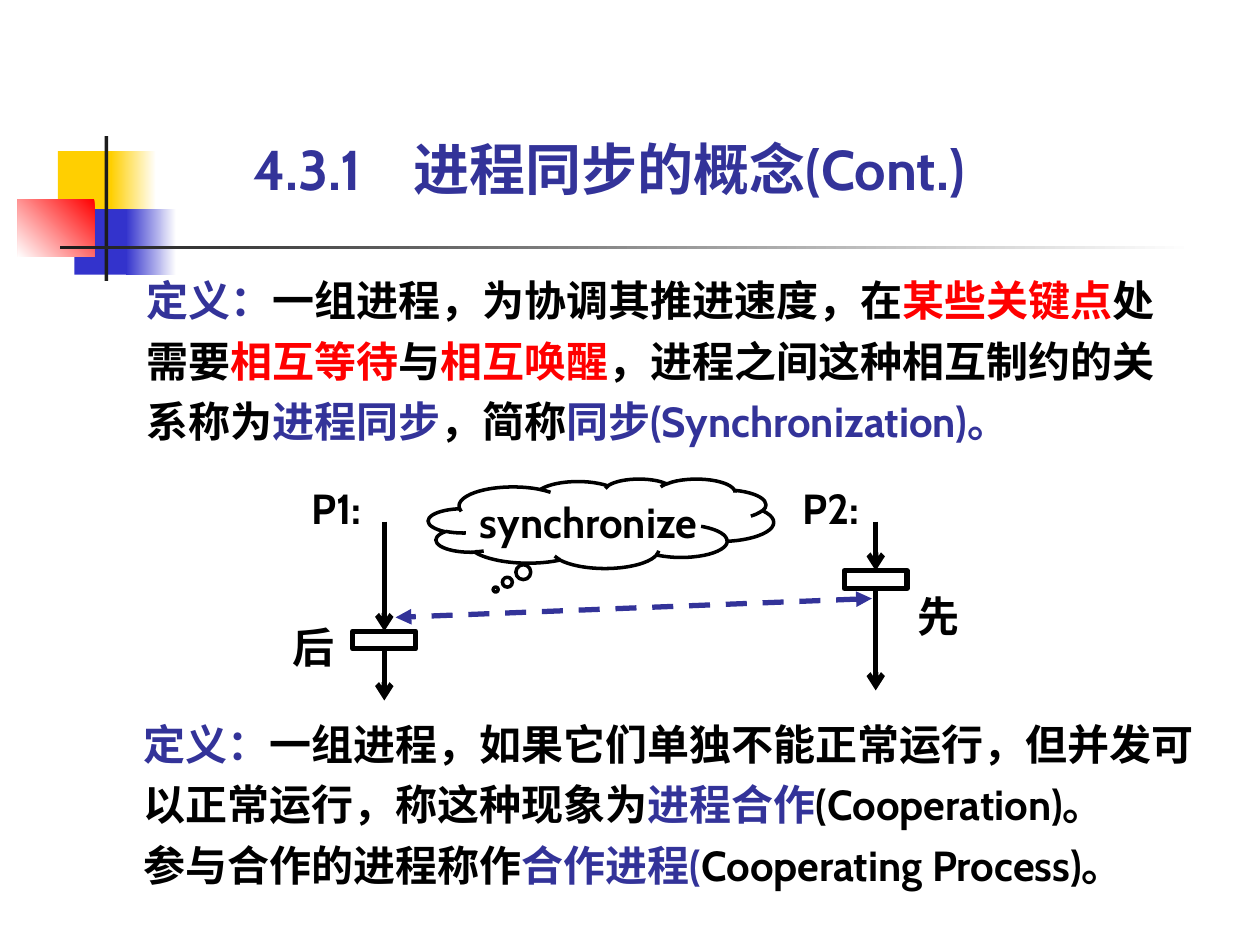
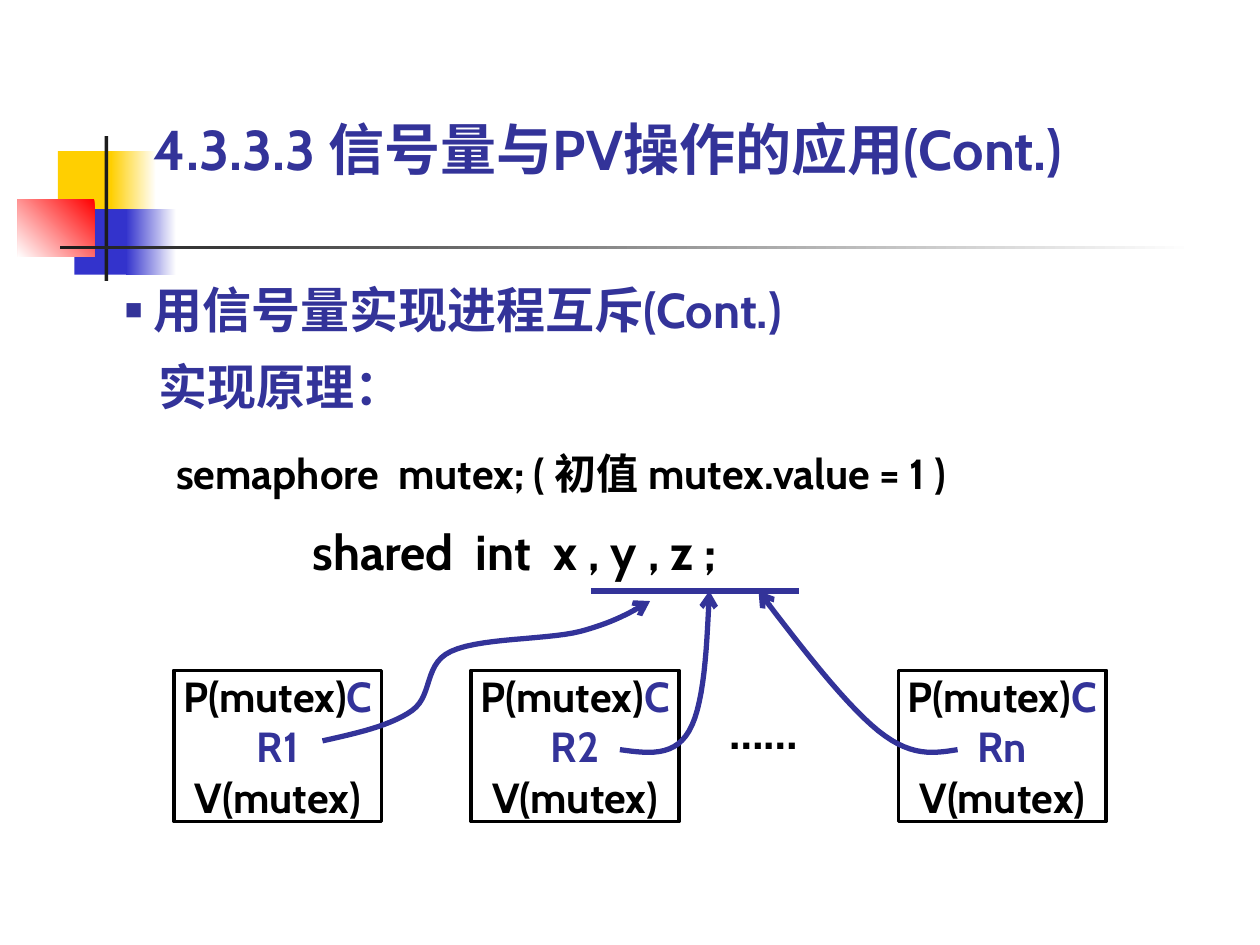
import collections

import lxml.etree
import pptx
import pptx.dml.color
import pptx.enum.dml
import pptx.enum.shapes
import pptx.enum.text
import pptx.oxml.ns
import pptx.util

Inches = pptx.util.Inches
Pt = pptx.util.Pt
SHAPES = pptx.enum.shapes.MSO_SHAPE
ANCHOR = pptx.enum.text.MSO_ANCHOR
ALIGN = pptx.enum.text.PP_ALIGN
Box = collections.namedtuple("Box", "left top width height")

# Shared look
FONT = "Cabin"
INDIGO, RED, BLACK, WHITE = "333399", "FF0000", "000000", "FFFFFF"
GOLD, BLUE, CHARCOAL = "FFCF01", "3333CC", "1C1C1C"
CURVE_STEPS = 14


def color(hex_string):
    return pptx.dml.color.RGBColor.from_string(hex_string)


def set_values(target, values):
    for name, value in values.items():
        setattr(target, name, value)


def add_xml(parent, tag, **attributes):
    return lxml.etree.SubElement(parent, pptx.oxml.ns.qn(tag), attributes)


def place(shape, box):
    set_values(shape, {name: Inches(value) for name, value in box._asdict().items()})


# Text
def write_text(frame, paragraphs, size=24, font=FONT, margins=(0, 0), frame_values=None, **paragraph_values):
    """Each paragraph is a list of (text, colour) runs."""
    set_values(frame, {
        "word_wrap": True,
        "auto_size": pptx.enum.text.MSO_AUTO_SIZE.SHAPE_TO_FIT_TEXT,
        "vertical_anchor": ANCHOR.TOP,
        "margin_left": Inches(margins[0]),
        "margin_right": Inches(margins[0]),
        "margin_top": Inches(margins[1]),
        "margin_bottom": Inches(margins[1]),
        **(frame_values or {}),
    })
    for index, runs in enumerate(paragraphs):
        paragraph = frame.add_paragraph() if index else frame.paragraphs[0]
        set_values(paragraph, {"alignment": ALIGN.LEFT, **paragraph_values})
        for text, hex_string in runs:
            run = paragraph.add_run()
            run.text = text
            set_values(run.font, {"size": Pt(size), "name": font, "bold": True})
            run.font.color.rgb = color(hex_string)


def add_text(slide, box, paragraphs, **formats):
    shape = slide.shapes.add_textbox(*map(Inches, box))
    write_text(shape.text_frame, paragraphs, **formats)


def add_title(slide, box, text, tab=None):
    place(slide.shapes.title, box)
    frame = slide.shapes.title.text_frame
    write_text(frame, [[(text, INDIGO)]], size=32, frame_values={"vertical_anchor": ANCHOR.BOTTOM})
    if tab:
        properties = frame.paragraphs[0]._p.get_or_add_pPr()
        tabs = add_xml(properties, "a:tabLst")
        add_xml(tabs, "a:tab", pos=str(Inches(tab)), algn="l")


# Shapes and lines
def add_box(slide, box, fill=None, line=None, line_width=2, kind=SHAPES.RECTANGLE):
    shape = slide.shapes.add_shape(kind, *map(Inches, box))
    shape.shadow.inherit = False
    if fill:
        shape.fill.solid()
        shape.fill.fore_color.rgb = color(fill)
    else:
        shape.fill.background()
    if line:
        shape.line.color.rgb = color(line)
        shape.line.width = Pt(line_width)
    else:
        shape.line.fill.background()
    return shape


def add_gradient_box(slide, box, start, end, angle):
    shape = add_box(slide, box)
    shape.fill.gradient()
    shape.fill.gradient_angle = angle
    for stop, hex_string in zip(shape.fill.gradient_stops, (start, end)):
        stop.color.rgb = color(hex_string)
    return shape


def style_line(shape, hex_string, head=None, tail=None, dash=None):
    shape.line.color.rgb = color(hex_string)
    shape.line.width = Pt(3)
    if dash:
        shape.line.dash_style = dash
    outline = shape.line._get_or_add_ln()
    for tag, arrow in (("a:headEnd", head), ("a:tailEnd", tail)):
        if arrow:
            add_xml(outline, tag, type=arrow)


def add_line(slide, start, end, hex_string=BLACK, **ends):
    connector = slide.shapes.add_connector(
        pptx.enum.shapes.MSO_CONNECTOR.STRAIGHT, *map(Inches, (*start, *end)))
    style_line(connector, hex_string, **ends)
    add_xml(connector.element.spPr, "a:effectLst")


def curve_points(controls):
    """Points along a chain of cubic curves that share their end points."""
    points = [controls[0]]
    for first in range(0, len(controls) - 1, 3):
        a, b, c, d = controls[first:first + 4]
        for step in range(1, CURVE_STEPS + 1):
            t = step / CURVE_STEPS
            weights = ((1 - t) ** 3, 3 * t * (1 - t) ** 2, 3 * t * t * (1 - t), t ** 3)
            points.append(tuple(
                sum(weight * point[axis] for weight, point in zip(weights, (a, b, c, d)))
                for axis in (0, 1)))
    return points


def add_curved_arrow(slide, left, top, controls):
    points = [(Inches(left + x), Inches(top + y)) for x, y in curve_points(controls)]
    builder = slide.shapes.build_freeform(*points[0])
    builder.add_line_segments(points[1:], close=False)
    shape = builder.convert_to_shape()
    shape.shadow.inherit = False
    shape.fill.background()
    style_line(shape, INDIGO, tail="arrow")


# Master decoration: coloured squares and the crossing rules
def decorate_master(master, slide):
    decoration = [
        add_box(slide, Box(0.46, 1.2, 0.48, 0.52), GOLD),
        add_gradient_box(slide, Box(0.88, 1.2, 0.36, 0.52), WHITE, GOLD, 180),
        add_box(slide, Box(0.59, 1.66, 0.46, 0.52), BLUE),
        add_gradient_box(slide, Box(1, 1.66, 0.4, 0.52), WHITE, BLUE, 180),
        add_gradient_box(slide, Box(0.14, 1.58, 0.61, 0.46), RED, WHITE, 225),
        add_box(slide, Box(0.83, 1.08, 0.03, 1.15), CHARCOAL),
        add_gradient_box(slide, Box(0.48, 1.95, 9, 0.03), WHITE, CHARCOAL, 180),
    ]
    for index, shape in enumerate(decoration):
        shape.element.nvSpPr.cNvPr.set("id", str(20 + index))
        master.shapes.element.insert(2 + index, shape.element)


# Slide 1: process synchronization
def add_process(slide, axis, top, name, bar_drop, end_drop, order, order_offset):
    bar_top = top + bar_drop
    add_text(slide, Box(axis - 0.58, top + 0.03, 0.67, 0.4), [[(name, BLACK)]])
    add_line(slide, (axis, top + 0.34), (axis, bar_top), tail="arrow")
    add_line(slide, (axis, bar_top + 0.15), (axis, top + end_drop), tail="arrow")
    add_box(slide, Box(axis - 0.25, bar_top, 0.5, 0.14), WHITE, BLACK, 3)
    across, down = order_offset
    add_text(slide, Box(axis + across, bar_top + down, 0.43, 0.4), [[(order, BLACK)]],
             font="Times New Roman")


def add_synchronization_diagram(slide, left, top):
    add_process(slide, left + 0.75, top, "P1:", 1.21, 1.76, "后", (-0.73, -0.08))
    add_process(slide, left + 4.65, top, "P2:", 0.73, 1.68, "先", (0.33, 0.16))
    cloud = add_box(slide, Box(left + 1.1, top, 2.74, 0.71), line=BLACK, kind=SHAPES.CLOUD_CALLOUT)
    for index, offset in enumerate((-0.305, 0.738)):
        cloud.adjustments[index] = offset
    write_text(cloud.text_frame, [[("synchronize", BLACK)]], margins=(0.1, 0.05),
               frame_values={"word_wrap": False, "vertical_anchor": ANCHOR.MIDDLE,
                             "auto_size": pptx.enum.text.MSO_AUTO_SIZE.NONE},
               alignment=ALIGN.CENTER)
    add_line(slide, (left + 4.62, top + 0.95), (left + 0.84, top + 1.1), INDIGO,
             head="triangle", tail="triangle", dash=pptx.enum.dml.MSO_LINE.DASH)


def build_synchronization(slide):
    add_title(slide, Box(2.01, 1.07, 6.46, 0.53), "4.3.1\t进程同步的概念(Cont.)", tab=1.27)
    add_text(slide, Box(1.16, 2.1, 8.25, 1.44), [[
        ("定义：", INDIGO),
        ("一组进程，为协调其推进速度，在", BLACK),
        ("某些关键点", RED),
        ("处需要", BLACK),
        ("相互等待", RED),
        ("与", BLACK),
        ("相互唤醒", RED),
        ("，进程之间这种相互制约的关系称为", BLACK),
        ("进程同步", INDIGO),
        ("，简称", BLACK),
        ("同步(Synchronization)。", INDIGO),
    ]], line_spacing=1.2)
    add_text(slide, Box(1.14, 5.62, 8.5, 1.44), [
        [("定义：", INDIGO),
         ("一组进程，如果它们单独不能正常运行，但并发可以正常运行，称这种现象为", BLACK),
         ("进程合作", INDIGO),
         ("(Cooperation)。", BLACK)],
        [("参与合作的进程称作", BLACK),
         ("合作进程(", INDIGO),
         ("Cooperating Process)。", BLACK)],
    ], line_spacing=1.2)
    add_synchronization_diagram(slide, 2.3, 3.8)


# Slide 2: mutual exclusion with a semaphore
def add_topic_list(slide, box):
    body = slide.placeholders[1]
    place(body, box)
    write_text(body.text_frame,
               [[("用信号量实现进程互斥(Cont.)", INDIGO)], [("实现原理：", INDIGO)]],
               size=28, frame_values={"vertical_anchor": ANCHOR.MIDDLE}, space_before=Pt(0))
    topic, principle = body.text_frame.paragraphs
    principle.space_before = Pt(10.5)
    for paragraph, margin, indent in ((topic, 0.23, -0.23), (principle, 0.27, 0)):
        properties = paragraph._p.get_or_add_pPr()
        properties.set("marL", str(Inches(margin)))
        properties.set("indent", str(Inches(indent)))
    properties = topic._p.get_or_add_pPr()
    add_xml(add_xml(properties, "a:buClr"), "a:srgbClr", val=INDIGO)
    add_xml(properties, "a:buSzPct", val="60000")
    add_xml(properties, "a:buChar", char="■")
    add_xml(principle._p.get_or_add_pPr(), "a:buNone")


def add_mutex_diagram(slide, left, top):
    add_text(slide, Box(left, top, 7.55, 0.5),
             [[("semaphore  mutex; ( 初值 mutex.value = 1 )", BLACK)]], margins=(0.1, 0.05))
    add_text(slide, Box(left + 1.18, top + 0.64, 4.02, 0.47),
             [[("shared  int  x , y , z ;", BLACK)]], size=28)
    add_line(slide, (left + 3.39, top + 1.19), (left + 5.04, top + 1.19), INDIGO)

    for offset, region in ((0.08, "CR1"), (2.44, "CR2"), (5.83, "CRn")):
        process = add_box(slide, Box(left + offset, top + 1.82, 1.65, 1.2), line=BLACK)
        write_text(process.text_frame,
                   [[("P(mutex)", BLACK), (region, INDIGO)], [("V(mutex)", BLACK)]],
                   alignment=ALIGN.CENTER)
    add_text(slide, Box(left + 4.49, top + 2.06, 1.34, 0.47), [[("……", BLACK)]], size=28)

    # Arrows from the critical regions to the shared variables
    for controls in (
        [(6.3, 2.45), (6.11, 2.48), (5.93, 2.51), (5.67, 2.3),
         (5.41, 2.09), (5.06, 1.64), (4.72, 1.19)],
        [(3.62, 2.45), (3.84, 2.48), (4.05, 2.51), (4.17, 2.3),
         (4.29, 2.09), (4.31, 1.64), (4.33, 1.19)],
        [(1.26, 2.38), (1.53, 2.32), (1.8, 2.26), (1.97, 2.14),
         (2.14, 2.02), (2.06, 1.77), (2.28, 1.67), (2.51, 1.56), (3.04, 1.58),
         (3.31, 1.51), (3.57, 1.44), (3.71, 1.36), (3.86, 1.27)],
    ):
        add_curved_arrow(slide, left, top, controls)


def build_mutual_exclusion(slide):
    add_title(slide, Box(1.22, 0.91, 8.43, 0.53), "4.3.3.3 信号量与PV操作的应用(Cont.)")
    add_topic_list(slide, Box(0.99, 2.22, 7.01, 1.08))
    add_mutex_diagram(slide, 1.3, 3.5)


def main():
    presentation = pptx.Presentation()
    presentation.slide_width = Inches(10)
    presentation.slide_height = Inches(7.5)
    layouts = presentation.slide_layouts
    synchronization = presentation.slides.add_slide(layouts.get_by_name("Title Only"))
    exclusion = presentation.slides.add_slide(layouts.get_by_name("Title and Content"))
    decorate_master(presentation.slide_master, synchronization)
    build_synchronization(synchronization)
    build_mutual_exclusion(exclusion)
    presentation.save("out.pptx")


if __name__ == "__main__":
    main()
